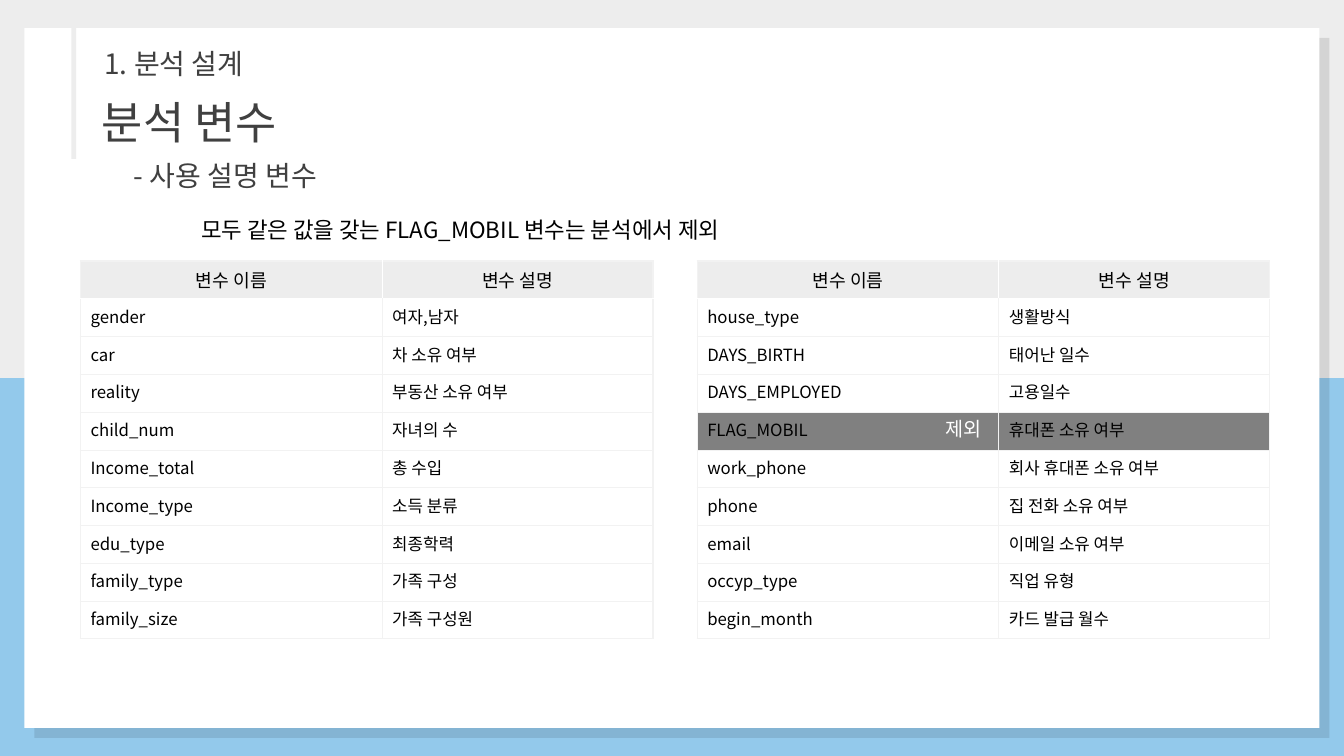
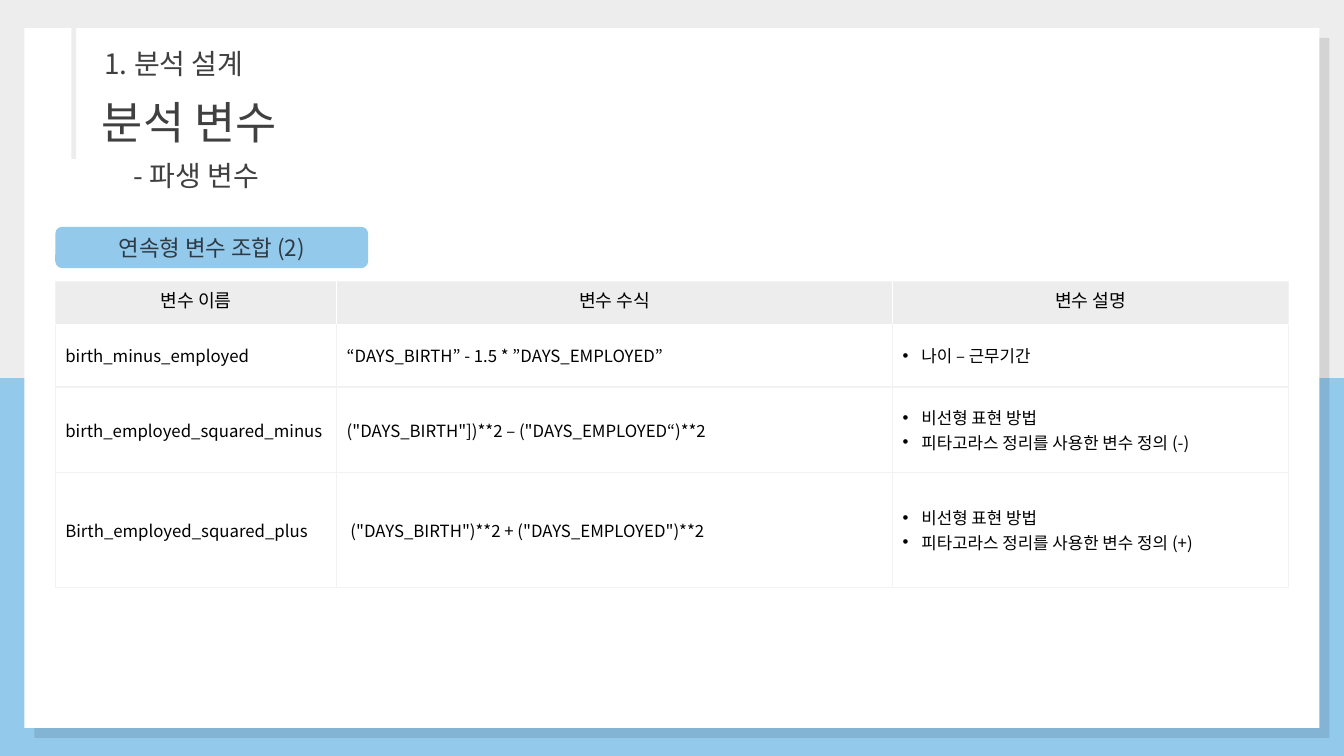
from lxml.etree import SubElement
from pptx import Presentation
from pptx.dml.color import RGBColor
from pptx.enum.shapes import MSO_SHAPE as Preset
from pptx.enum.text import MSO_ANCHOR as Anchor, MSO_AUTO_SIZE as AutoSize, PP_ALIGN as Align
from pptx.oxml.ns import qn
from pptx.util import Pt

SKY = RGBColor(0x93, 0xC9, 0xEB)
MIST = RGBColor(0xED, 0xED, 0xED)
RULE = RGBColor(0xF2, 0xF2, 0xF2)
GRAY = RGBColor(0x80, 0x80, 0x80)
CHARCOAL = RGBColor(0x40, 0x40, 0x40)
NAVY = RGBColor(0x2D, 0x3B, 0x45)
WHITE = RGBColor(0xFF, 0xFF, 0xFF)
BLACK = RGBColor(0, 0, 0)

FONT = "Noto Sans CJK KR"
EXCLUDED = "FLAG_MOBIL"

PERSON_VARIABLES = [
    ("변수 이름", "변수 설명"),
    ("gender", "여자,남자"),
    ("car", "차 소유 여부"),
    ("reality", "부동산 소유 여부"),
    ("child_num", "자녀의 수"),
    ("Income_total", "총 수입"),
    ("Income_type", "소득 분류"),
    ("edu_type", "최종학력"),
    ("family_type", "가족 구성"),
    ("family_size", "가족 구성원"),
]
LIFE_VARIABLES = [
    ("변수 이름", "변수 설명"),
    ("house_type", "생활방식"),
    ("DAYS_BIRTH", "태어난 일수"),
    ("DAYS_EMPLOYED", "고용일수"),
    (EXCLUDED, "휴대폰 소유 여부"),
    ("work_phone", "회사 휴대폰 소유 여부"),
    ("phone", "집 전화 소유 여부"),
    ("email", "이메일 소유 여부"),
    ("occyp_type", "직업 유형"),
    ("begin_month", "카드 발급 월수"),
]
DERIVED_VARIABLES = [
    ("변수 이름", "변수 수식", "변수 설명"),
    ("birth_minus_employed", "“DAYS_BIRTH” - 1.5 * ”DAYS_EMPLOYED”", "나이 – 근무기간"),
    ("birth_employed_squared_minus", "(\"DAYS_BIRTH\"])**2 – (\"DAYS_EMPLOYED“)**2",
     "비선형 표현 방법\n피타고라스 정리를 사용한 변수 정의 (-)"),
    ("Birth_employed_squared_plus", " (\"DAYS_BIRTH\")**2 + (\"DAYS_EMPLOYED\")**2",
     "비선형 표현 방법\n피타고라스 정리를 사용한 변수 정의 (+)"),
]


class VariableDeck:
    """Holds the deck style and the current page, and draws each kind of element."""

    def __init__(self):
        self.deck = Presentation()
        self.deck.slide_width, self.deck.slide_height = Pt(960), Pt(540)
        self.layout = self.deck.slide_layouts.get_by_name("Title Only")
        self.page = None

    def new_page(self, subtitle):
        """Add a page with its section, title and subtitle."""
        first = self.page is None
        self.page = self.deck.slides.add_slide(self.layout)
        if first:
            self.build_backdrop()
        self.text("1. 분석 설계", 67.5, 30, 183, 31.5, 20, CHARCOAL)
        title = self.page.shapes.title
        title.left, title.top, title.width, title.height = Pt(65.5), Pt(64), Pt(220), Pt(46)
        title.text_frame.text = "분석 변수"
        title.text_frame.vertical_anchor = Anchor.TOP
        title.text_frame.auto_size = AutoSize.SHAPE_TO_FIT_TEXT
        self.style(title.text_frame, 32, CHARCOAL)
        self.text(subtitle, 88.5, 110, 220, 31.5, 20, CHARCOAL)

    def build_backdrop(self):
        """Draw the shared panels and move them to the layout."""
        fill = self.layout.background.fill
        fill.solid()
        fill.fore_color.rgb = SKY
        band = self.panel(0, 0, 960, 270, MIST)
        card = self.panel(17.5, 20, 925, 500, WHITE)
        accent = self.panel(51, 20, 3.5, 93.5, MIST)
        effects = card.element.spPr.find(qn("a:effectLst"))
        shadow = SubElement(effects, qn("a:outerShdw"), blurRad="0", dist=str(Pt(10)),
                            dir="2700000", algn="tl", rotWithShape="0")
        tint = SubElement(shadow, qn("a:srgbClr"), val=str(BLACK))
        SubElement(tint, qn("a:alpha"), val="10000")
        for index, shape in enumerate((band, card, accent), start=2):
            self.layout.shapes.element.insert(index, shape.element)

    def panel(self, left, top, width, height, color, preset=Preset.RECTANGLE):
        """Add a flat filled shape."""
        shape = self.page.shapes.add_shape(preset, Pt(left), Pt(top), Pt(width), Pt(height))
        shape.shadow.inherit = False
        shape.fill.solid()
        shape.fill.fore_color.rgb = color
        shape.line.fill.background()
        return shape

    def style(self, frame, size, color, align=Align.LEFT):
        """Format every paragraph of a text frame."""
        for para in frame.paragraphs:
            para.alignment = align
            for span in para.runs:
                font = span.font
                font.size, font.bold, font.name = Pt(size), False, FONT
                font.color.rgb = color
                SubElement(span._r.get_or_add_rPr(), qn("a:ea"), typeface=FONT)

    def text(self, words, left, top, width, height, size, color):
        """Add a wrapping text box."""
        box = self.page.shapes.add_textbox(Pt(left), Pt(top), Pt(width), Pt(height))
        frame = box.text_frame
        frame.word_wrap = True
        frame.auto_size = AutoSize.SHAPE_TO_FIT_TEXT
        frame.text = words
        self.style(frame, size, color)

    def label(self, words, left, top, width, height):
        """Add a rounded heading label."""
        shape = self.panel(left, top, width, height, SKY, Preset.ROUNDED_RECTANGLE)
        shape.text_frame.text = words
        shape.text_frame.vertical_anchor = Anchor.MIDDLE
        self.style(shape.text_frame, 16, NAVY, Align.CENTER)

    def bullets(self, frame):
        """Give each paragraph a hanging bullet."""
        for para in frame.paragraphs:
            props = para._p.get_or_add_pPr()
            props.set("marL", str(Pt(13.5)))
            props.set("indent", str(-Pt(13.5)))
            SubElement(props, qn("a:buFont"), typeface="Arial")
            SubElement(props, qn("a:buChar"), char="•")

    def borders(self, cell, edges):
        """Draw the cell edges given as tag: (colour, width)."""
        props = cell._tc.get_or_add_tcPr()
        for tag, (color, width) in edges.items():
            line = SubElement(props, qn(f"a:{tag}"), w=str(Pt(width)))
            SubElement(SubElement(line, qn("a:solidFill")), qn("a:srgbClr"), val=str(color))

    def table(self, rows, left, top, widths, heights, rule=0.75,
              anchor=Anchor.TOP, bullet_column=None):
        """Add a table whose first row is a header."""
        frame = self.page.shapes.add_table(len(rows), len(widths), Pt(left), Pt(top),
                                           Pt(sum(widths)), Pt(sum(heights)))
        grid = frame.table
        grid.horz_banding = False
        for column, width in zip(grid.columns, widths):
            column.width = Pt(width)
        last_row, last_column = len(rows) - 1, len(widths) - 1
        for r, (values, height) in enumerate(zip(rows, heights)):
            grid.rows[r].height = Pt(height)
            header = r == 0
            inner = (WHITE if header else RULE, 0.75)
            outer = (RULE, 1)
            white = (WHITE, 0.75)
            for c, words in enumerate(values):
                cell = grid.cell(r, c)
                cell.text_frame.text = words
                self.borders(cell, {
                    "lnL": outer if c == 0 else inner,
                    "lnR": outer if c == last_column else inner,
                    "lnT": outer if header else white if r == 1 else (RULE, rule),
                    "lnB": white if header else outer if r == last_row else (RULE, rule),
                })
                cell.fill.solid()
                cell.fill.fore_color.rgb = (MIST if header else
                                            GRAY if values[0] == EXCLUDED else WHITE)
                cell.vertical_anchor = Anchor.TOP if header else anchor
                self.style(cell.text_frame, 13 if header else 12, BLACK,
                           Align.CENTER if header else Align.LEFT)
                if c == bullet_column and not header:
                    self.bullets(cell.text_frame)


def main():
    """Build both pages and save the deck."""
    slides = VariableDeck()

    slides.new_page("- 사용 설명 변수")
    for rows, left in ((PERSON_VARIABLES, 57.5), (LIFE_VARIABLES, 498)):
        slides.table(rows, left, 186.5, [215.5, 193.5], [27] * len(rows))
    slides.text("제외", 668, 294.5, 220, 24.5, 14, WHITE)
    slides.text(f"모두 같은 값을 갖는 {EXCLUDED} 변수는 분석에서 제외", 136.5, 150.5, 580, 26.5, 16, BLACK)

    slides.new_page("- 파생 변수")
    slides.table(DERIVED_VARIABLES, 39.5, 201, [201, 397, 283], [30.5, 45, 61, 82],
                 rule=1, anchor=Anchor.MIDDLE, bullet_column=2)
    slides.label("연속형 변수 조합 (2)", 39.5, 162, 223.5, 29.5)

    slides.deck.save("out.pptx")


if __name__ == "__main__":
    main()
